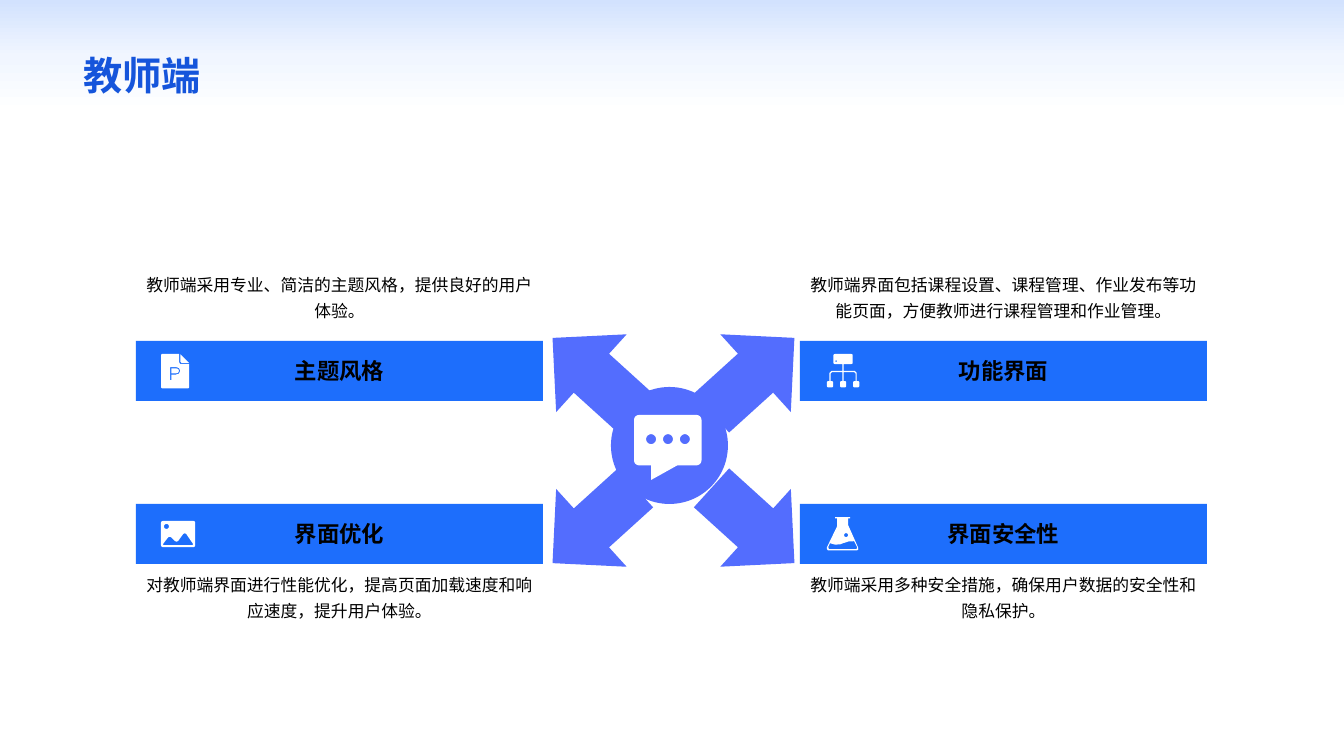
import copy
import math

import lxml.etree
import pptx
import pptx.dml.color
import pptx.enum.shapes
import pptx.enum.text
import pptx.oxml.ns
import pptx.util

PX = 12192000 / 1344  # EMU in one px
FINE = 10  # outline units in one px

RGBColor = pptx.dml.color.RGBColor
WHITE = RGBColor(0xFF, 0xFF, 0xFF)
BLACK = RGBColor(0x00, 0x00, 0x00)
PALE_BLUE = RGBColor(0xF1, 0xF6, 0xFF)
SKY_BLUE = RGBColor(0xD2, 0xE2, 0xFE)
TITLE_BLUE = RGBColor(0x15, 0x55, 0xDB)
BAR_BLUE = RGBColor(0x1D, 0x6E, 0xFC)
INDIGO = RGBColor(0x53, 0x6D, 0xFE)

TITLE_FONT = "Noto Sans CJK SC"
BODY_FONT = "Noto Sans CJK JP"

ALIGN = pptx.enum.text.PP_ALIGN
ANCHOR = pptx.enum.text.MSO_ANCHOR
SHAPE = pptx.enum.shapes.MSO_SHAPE


def emu(px):
    return pptx.util.Emu(round(px * PX))


def write(shape, text, size, color, font=BODY_FONT, bold=False,
          align=ALIGN.CENTER, anchor=ANCHOR.MIDDLE, line_spacing=1.0):
    frame = shape.text_frame
    frame.word_wrap = True
    frame.vertical_anchor = anchor
    paragraph = frame.paragraphs[0]
    paragraph.alignment = align
    paragraph.line_spacing = line_spacing
    run = paragraph.add_run()
    run.text = text
    run.font.size = pptx.util.Pt(size)
    run.font.bold = bold
    run.font.color.rgb = color
    run.font.name = font
    properties = run.font._element
    lxml.etree.SubElement(properties, pptx.oxml.ns.qn("a:ea"), typeface=font)


def rounded(left, top, width, height, radius):
    """Outline of a rounded box, clockwise from its bottom left corner."""
    near_x, far_x = left + radius, left + width - radius
    near_y, far_y = top + radius, top + height - radius
    corners = [(near_x, far_y, 90), (near_x, near_y, 180),
               (far_x, near_y, 270), (far_x, far_y, 0)]
    return [(x + radius * math.cos(math.radians(start + turn)),
             y + radius * math.sin(math.radians(start + turn)))
            for x, y, start in corners for turn in range(0, 91, 15)]


def rectangle(left, top, right, bottom):
    return [(left, top), (right, top), (right, bottom), (left, bottom)]


class Deck:
    def __init__(self):
        self.presentation = pptx.Presentation()
        self.presentation.slide_width = emu(1344)
        self.presentation.slide_height = emu(756)
        self.slide = self.presentation.slides.add_slide(
            self.presentation.slide_layouts[5])

    def background(self):
        fill = self.slide.background.fill
        fill.gradient()
        fill.gradient_angle = 90
        first, last = fill.gradient_stops
        first.color.rgb, first.position = PALE_BLUE, 0.925
        stop = self.slide.element.xpath(".//p:bg//a:gs")[0]
        stop.addprevious(copy.deepcopy(stop))
        first = fill.gradient_stops[0]
        first.color.rgb, first.position = WHITE, 0.85
        last.color.rgb, last.position = SKY_BLUE, 1.0

    def title(self, text, left, top, width, height):
        title = self.slide.shapes.title
        title.left, title.top = emu(left), emu(top)
        title.width, title.height = emu(width), emu(height)
        write(title, text, 28, TITLE_BLUE, font=TITLE_FONT, bold=True,
              align=ALIGN.LEFT, anchor=ANCHOR.BOTTOM)
        title.text_frame.auto_size = pptx.enum.text.MSO_AUTO_SIZE.SHAPE_TO_FIT_TEXT

    def shape(self, kind, left, top, width, height, color, rotation=0):
        shape = self.slide.shapes.add_shape(
            kind, emu(left), emu(top), emu(width), emu(height))
        shape.rotation = rotation
        self.paint(shape, color)
        return shape

    def paint(self, shape, color):
        shape.shadow.inherit = False
        shape.fill.solid()
        shape.fill.fore_color.rgb = color
        shape.line.fill.background()

    def text(self, text, left, top, width, height, **style):
        box = self.slide.shapes.add_textbox(
            emu(left), emu(top), emu(width), emu(height))
        write(box, text, 12, BLACK, line_spacing=1.3, **style)

    def icon(self, left, top, contours):
        """Draw closed contours, given in tenths of a px; inner ones are holes."""
        first, *others = contours
        builder = self.slide.shapes.build_freeform(*first[0], scale=PX / FINE)
        builder.add_line_segments(first[1:], close=True)
        for contour in others:
            builder.move_to(*contour[0])
            builder.add_line_segments(contour[1:], close=True)
        self.paint(builder.convert_to_shape(emu(left), emu(top)), WHITE)


DOCUMENT = [
    [(181, 0), (181, 80), (190, 100), (282, 100), (282, 335), (272, 345),
     (10, 345), (0, 335), (0, 10), (10, 0)],
    [(195, 5), (280, 88), (203, 88), (195, 80)],
    [(91, 131), (150, 131), (180, 141), (192, 168), (180, 196), (150, 206),
     (103, 206), (103, 262), (91, 262)],
    [(103, 143), (150, 143), (172, 150), (180, 168), (172, 187), (150, 194),
     (103, 194)],
]
LEFT_BRANCH = [(155, 182), (50, 182), (37, 195), (37, 272), (25, 272),
               (25, 190), (45, 170), (155, 170)]
HIERARCHY = [
    rounded(65, 0, 193, 101, 15),
    rounded(84, 63, 16, 16, 8),
    rectangle(155, 101, 168, 272),
    LEFT_BRANCH,
    [(323 - x, y) for x, y in LEFT_BRANCH],
] + [rounded(131 * column, 272, 62, 61, 12) for column in range(3)]
PHOTO = [
    rounded(0, 0, 343, 262, 20),
    [(20, 232), (71, 165), (86, 158), (101, 163), (141, 202), (156, 207),
     (171, 202), (222, 131), (237, 123), (252, 129), (323, 232), (315, 242),
     (24, 242)],
    rounded(30, 30, 50, 50, 25),
]
FLASK = [
    [(81, 0), (232, 0), (232, 15), (212, 15), (212, 81), (218, 95), (310, 302),
     (313, 322), (302, 333), (10, 333), (0, 322), (0, 302), (100, 95),
     (102, 81), (102, 15), (81, 15)],
    [(161, 262), (130, 274), (80, 276), (30, 262), (12, 302), (20, 322),
     (295, 322), (302, 302), (272, 242), (215, 245)],
    rounded(171, 161, 40, 40, 20),
]
BUBBLE_TAIL = [(433, 504), (171, 650), (171, 504)]
BUBBLE = [rounded(0, 0, 675, 504, 50) + BUBBLE_TAIL] + [
    rounded(121 + 169 * dot, 192, 100, 100, 50) for dot in range(3)]

LEFT, RIGHT = 136, 800
UPPER, LOWER = 341, 504
BAR_WIDTH, BAR_HEIGHT, BODY_HEIGHT = 407, 60, 172

CARDS = [
    (LEFT, UPPER, "主题风格", "教师端采用专业、简洁的主题风格，提供良好的用户体验。",
     DOCUMENT, 161, 354),
    (RIGHT, UPPER, "功能界面",
     "教师端界面包括课程设置、课程管理、作业发布等功能页面，方便教师进行课程管理和作业管理。",
     HIERARCHY, 827, 354),
    (LEFT, LOWER, "界面优化",
     "对教师端界面进行性能优化，提高页面加载速度和响应速度，提升用户体验。",
     PHOTO, 161, 521),
    (RIGHT, LOWER, "界面安全性", "教师端采用多种安全措施，确保用户数据的安全性和隐私保护。",
     FLASK, 827, 517),
]
ARROWS = [(538, 323, 222.2), (697, 323, 317.8), (538, 473, 137.8), (697, 473, 42.2)]


def main():
    deck = Deck()
    deck.background()
    deck.title("教师端", 73, 46, 1176, 57)

    for left, top, rotation in ARROWS:
        deck.shape(SHAPE.RIGHT_ARROW, left, top, 112, 105, INDIGO, rotation)
    deck.shape(SHAPE.OVAL, 611, 387, 117, 117, INDIGO)
    deck.icon(634, 415, BUBBLE)

    for left, top, heading, body, icon, icon_left, icon_top in CARDS:
        bar = deck.shape(SHAPE.RECTANGLE, left, top, BAR_WIDTH, BAR_HEIGHT, BAR_BLUE)
        write(bar, heading, 16, BLACK, bold=True)
        if top == UPPER:
            body_top, anchor = top - 15 - BODY_HEIGHT, ANCHOR.BOTTOM
        else:
            body_top, anchor = top + BAR_HEIGHT, ANCHOR.TOP
        deck.text(body, left, body_top, BAR_WIDTH, BODY_HEIGHT, anchor=anchor)
        deck.icon(icon_left, icon_top, icon)

    deck.presentation.save("out.pptx")


if __name__ == "__main__":
    main()
